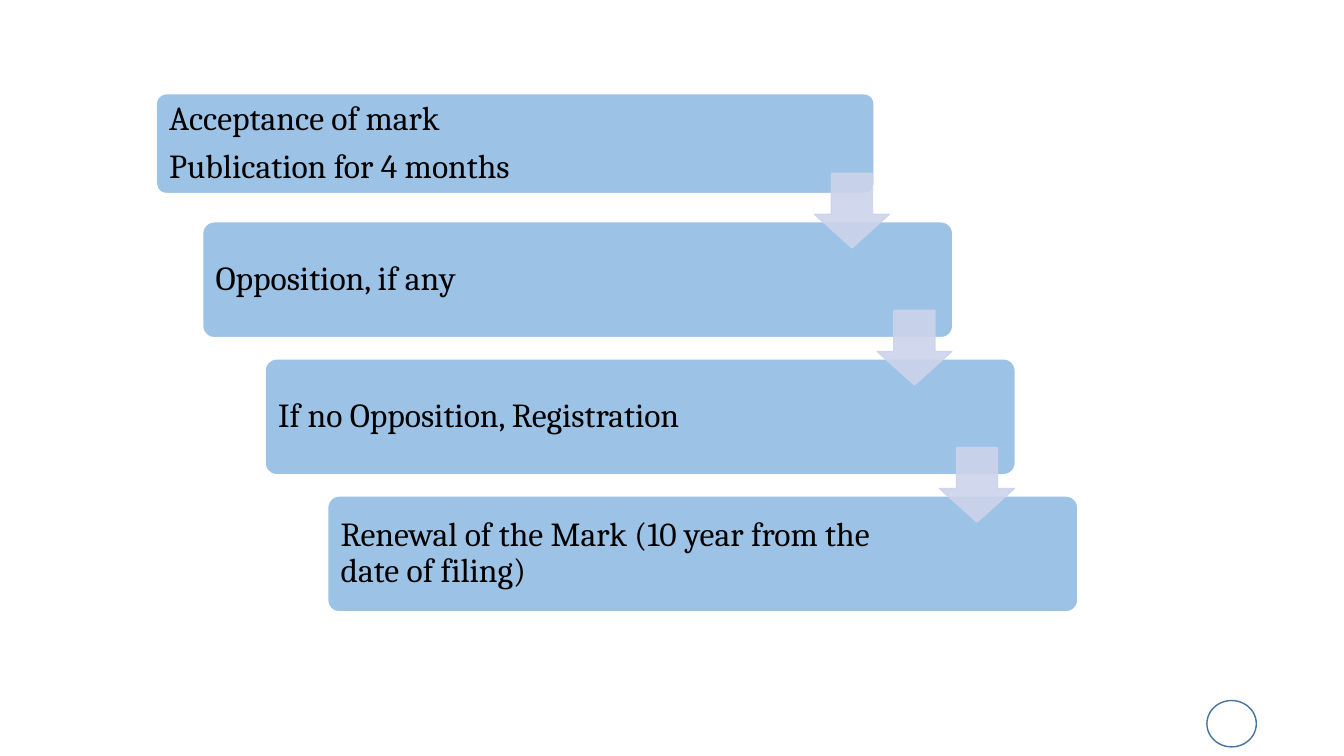
import pptx
import pptx.dml.color
import pptx.enum.shapes
import pptx.enum.text
import pptx.oxml.ns
import pptx.util
from lxml import etree

RGB = pptx.dml.color.RGBColor
KIND = pptx.enum.shapes.MSO_SHAPE
INCH = pptx.util.Inches
BLUE = RGB(0x9C, 0xC2, 0xE5)
PALE = RGB(0xCC, 0xD3, 0xEA)
NAVY = RGB(0x43, 0x73, 0x9E)
WHITE = RGB(0xFF, 0xFF, 0xFF)
BLACK = RGB(0x00, 0x00, 0x00)

LEFT, TOP = 1.39, 0.84
COL, ROW = 0.62, 1.36
EDGE = 0.03
STEPS = [
    (["Acceptance of mark", "Publication for 4 months"], (0.16, 0.09, 7.12, 0.99), 5.85),
    (["Opposition, if any"], (0, 0, 7.44, 1.15), 6),
    (["If no Opposition, Registration"], (0, 0, 7.44, 1.15), 6),
    (["Renewal of the Mark (10 year from the date of filing)"], (0, 0, 7.44, 1.15), 6),
]


def spot(col, row):
    """Return the corner of a grid cell in inches."""
    return LEFT + col * COL, TOP + row * ROW


def add_form(slide, kind, box, fill, line, adjust=()):
    """Draw a preset shape with a plain fill and a thin line."""
    form = slide.shapes.add_shape(kind, *map(INCH, box))
    form.shadow.inherit = False
    for index, value in enumerate(adjust):
        form.adjustments[index] = value
    if fill is None:
        form.fill.background()
    else:
        form.fill.solid()
        form.fill.fore_color.rgb = fill
    form.line.color.rgb = line
    form.line.width = pptx.util.Pt(1)
    return form


def add_label(slide, box, lines):
    """Write the wording of one step."""
    frame = slide.shapes.add_textbox(*map(INCH, box)).text_frame
    frame.word_wrap = True
    frame.vertical_anchor = pptx.enum.text.MSO_ANCHOR.MIDDLE
    frame.margin_left = frame.margin_right = INCH(0.1)
    frame.margin_top = frame.margin_bottom = INCH(0.1)
    frame.text = "\n".join(lines)
    for index, para in enumerate(frame.paragraphs):
        para.line_spacing = 0.9
        para.space_before = pptx.util.Pt(8.4 if index else 0)
        para.font.name = "Cambria"
        para.font.size = pptx.util.Pt(24)
        para.font.color.rgb = BLACK


def add_step(slide, index, lines, shift, span):
    """Place one step of the stair with its label."""
    left, top = spot(index, index)
    across, down, width, height = shift
    left, top = left + across, top + down
    add_form(slide, KIND.ROUNDED_RECTANGLE, (left, top, width, height), BLUE, WHITE, [0.1])
    add_label(slide, (left + EDGE, top + EDGE, span, height - 2 * EDGE), lines)


def add_arrow(slide, index):
    """Point from one step to the next with a sheer arrow."""
    left, top = spot(index, index)
    box = (left + 6.69, top + 0.88, 0.74, 0.74)
    arrow = add_form(slide, KIND.DOWN_ARROW, box, PALE, PALE, [0.55, 0.45])
    for color in arrow.element.spPr.iter(pptx.oxml.ns.qn("a:srgbClr")):
        etree.SubElement(color, pptx.oxml.ns.qn("a:alpha"), val="90000")


def main():
    """Build the slide and save it."""
    deck = pptx.Presentation()
    deck.slide_width, deck.slide_height = INCH(13.33), INCH(7.5)
    slide = deck.slides.add_slide(deck.slide_layouts[6])
    add_form(slide, KIND.OVAL, (11.97, 6.95, 0.49, 0.46), None, NAVY)
    for index, step in enumerate(STEPS):
        add_step(slide, index, *step)
    for index in range(len(STEPS) - 1):
        add_arrow(slide, index)
    deck.save("out.pptx")


if __name__ == "__main__":
    main()
